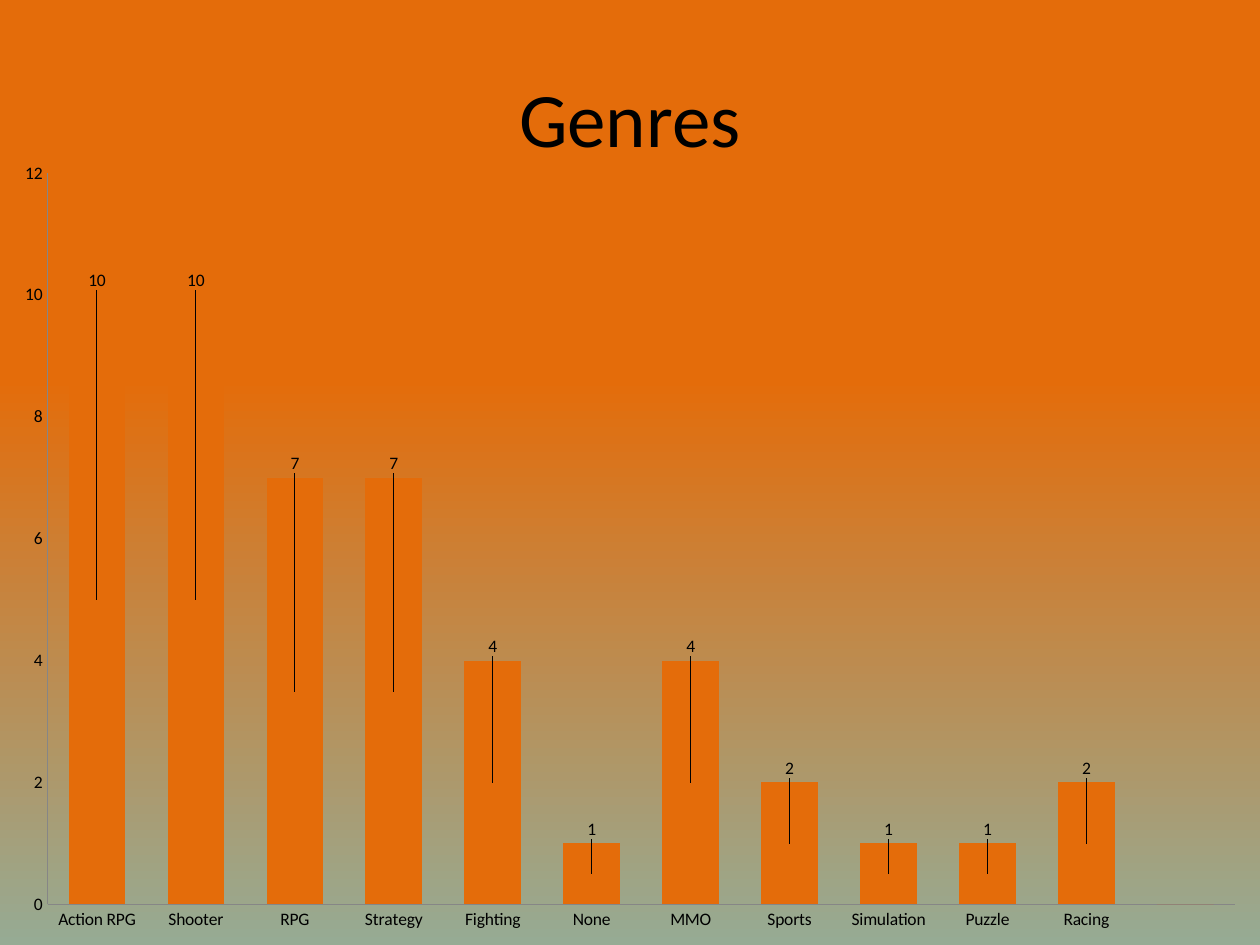
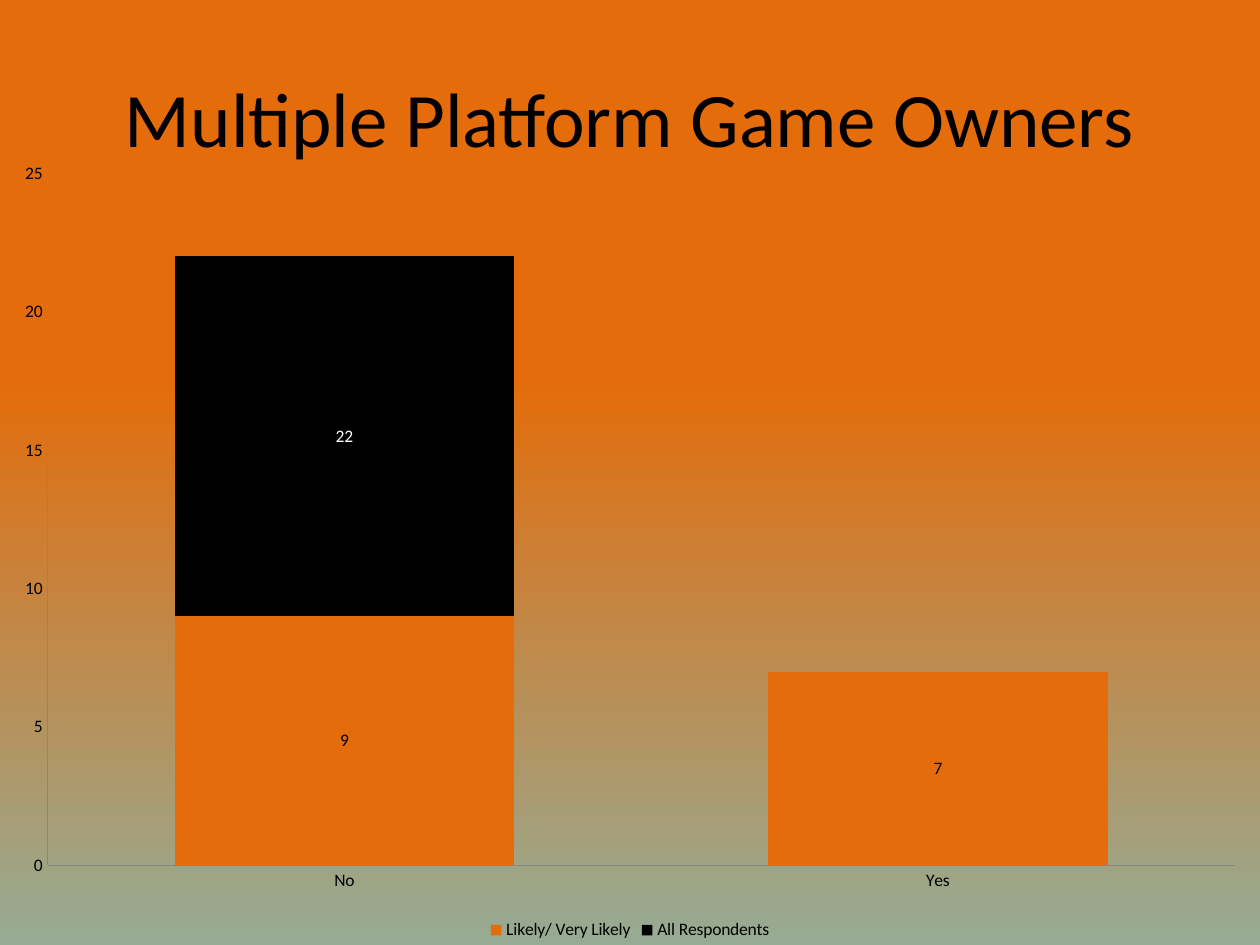
from dataclasses import dataclass
from typing import Any

from lxml.etree import SubElement as Sub
from pptx import Presentation
from pptx.chart.data import CategoryChartData as Data
from pptx.dml.color import RGBColor as Rgb
from pptx.enum.chart import XL_CHART_TYPE as Kind
from pptx.enum.chart import XL_LEGEND_POSITION as Side
from pptx.enum.chart import XL_TICK_MARK as Tick
from pptx.enum.text import MSO_ANCHOR as Anchor
from pptx.enum.text import PP_ALIGN as Align
from pptx.oxml import parse_xml
from pptx.oxml.ns import nsdecls, qn
from pptx.util import Inches, Pt

HUES = {"orange": "E46C0A", "sage": "96AB94", "black": "000000",
        "white": "FFFFFF", "gray": "868686"}
FACE = "Calibri"
TITLE = {"name": FACE, "size": Pt(44)}
SMALL = {"name": FACE, "size": Pt(10)}
PLOT = {"gap_width": 75, "overlap": 100, "vary_by_categories": False}
AXIS = {"major_tick_mark": Tick.NONE, "minor_tick_mark": Tick.NONE,
        "has_major_gridlines": False}
LABELS = {"show_value": True, "number_format": "0;;",
          "number_format_is_linked": False}
LEGEND = {"position": Side.BOTTOM, "include_in_layout": False}
HALF_UNIT = 0.0383
LABEL_GAP = 0.017


@dataclass(frozen=True)
class Stack:
    name: str
    vals: list[int]
    hue: str
    ink: str = "black"
    text: str = ""


@dataclass(frozen=True)
class Page:
    title: str
    cats: list[str]
    stacks: list[Stack]
    top: int
    step: int
    legend: bool = False
    lifted: bool = False


PAGES = [
    Page("Genres",
         ["Action RPG", "Shooter", "RPG", "Strategy", "Fighting", "None",
          "MMO", "Sports", "Simulation", "Puzzle", "Racing", ""],
         [Stack("Series 1", [10, 10, 7, 7, 4, 1, 4, 2, 1, 1, 2, 0], "orange")],
         top=12, step=2, lifted=True),
    Page("Multiple Platform Game Owners", ["No", "Yes"],
         [Stack("Likely/ Very Likely", [9, 7], "orange"),
          Stack("All Respondents", [13, 0], "black", "white", "22")],
         top=25, step=5, legend=True),
]


def put(item: Any, values: dict[str, Any]) -> None:
    for key, value in values.items():
        setattr(item, key, value)


def rgb(hue: str) -> Rgb:
    return Rgb.from_string(HUES[hue])


def style(font: Any, values: dict[str, Any], hue: str) -> None:
    put(font, values)
    font.color.rgb = rgb(hue)


def paint(slide: Any) -> None:
    fill = slide.background.fill
    fill.gradient()
    fill.gradient_angle = 270
    for stop, hue, place in zip(fill.gradient_stops, ("orange", "sage"), (0.4, 1)):
        stop.color.rgb = rgb(hue)
        stop.position = place
    first = next(slide._element.iter(qn("a:srgbClr")))
    Sub(first, qn("a:alpha"), val="45000")


def head(slide: Any, text: str) -> None:
    box = slide.shapes.add_textbox(Inches(0.5), Inches(0.3), Inches(9), Inches(1.25))
    frame = box.text_frame
    put(frame, {"word_wrap": True, "vertical_anchor": Anchor.MIDDLE})
    line = frame.paragraphs[0]
    line.alignment = Align.CENTER
    run = line.add_run()
    run.text = text
    style(run.font, TITLE, "black")


def lift(series: Any, stack: Stack) -> None:
    for spot, val in enumerate(stack.vals):
        if val:
            style(series.points[spot].data_label.font, SMALL, stack.ink)
    for label in series._element.iter(qn("c:dLbl")):
        mark = label.find(qn("c:idx"))
        shift = -(HALF_UNIT * stack.vals[int(mark.get("val"))] + LABEL_GAP)
        mark.addnext(parse_xml(
            f'<c:layout {nsdecls("c")}><c:manualLayout><c:x val="0"/>'
            f'<c:y val="{shift:.3f}"/></c:manualLayout></c:layout>'))


def dress(series: Any, stack: Stack) -> None:
    series.format.fill.solid()
    series.format.fill.fore_color.rgb = rgb(stack.hue)
    put(series.data_labels, LABELS)
    style(series.data_labels.font, SMALL, stack.ink)
    if stack.text:
        line = series.points[0].data_label.text_frame.paragraphs[0]
        run = line.add_run()
        run.text = stack.text
        style(run.font, SMALL, stack.ink)


def graph(slide: Any, page: Page) -> None:
    data = Data()
    data.categories = page.cats
    for stack in page.stacks:
        data.add_series(stack.name, stack.vals)
    chart = slide.shapes.add_chart(
        Kind.COLUMN_STACKED, Inches(0), Inches(1.17),
        Inches(10), Inches(6.33), data).chart
    put(chart, {"has_title": False, "has_legend": page.legend})
    style(chart.font, SMALL, "black")
    if page.legend:
        put(chart.legend, LEGEND)
    for axis in (chart.category_axis, chart.value_axis):
        put(axis, AXIS)
        axis.format.line.color.rgb = rgb("gray")
        axis.format.line.width = Pt(0.5)
    put(chart.value_axis, {"minimum_scale": 0, "maximum_scale": page.top,
                           "major_unit": page.step})
    plot = chart.plots[0]
    put(plot, PLOT)
    for series, stack in zip(plot.series, page.stacks):
        dress(series, stack)
        if page.lifted:
            lift(series, stack)


def main() -> None:
    deck = Presentation()
    put(deck, {"slide_width": Inches(10), "slide_height": Inches(7.5)})
    for page in PAGES:
        slide = deck.slides.add_slide(deck.slide_layouts[6])
        paint(slide)
        head(slide, page.title)
        graph(slide, page)
    deck.save("out.pptx")


if __name__ == "__main__":
    main()
